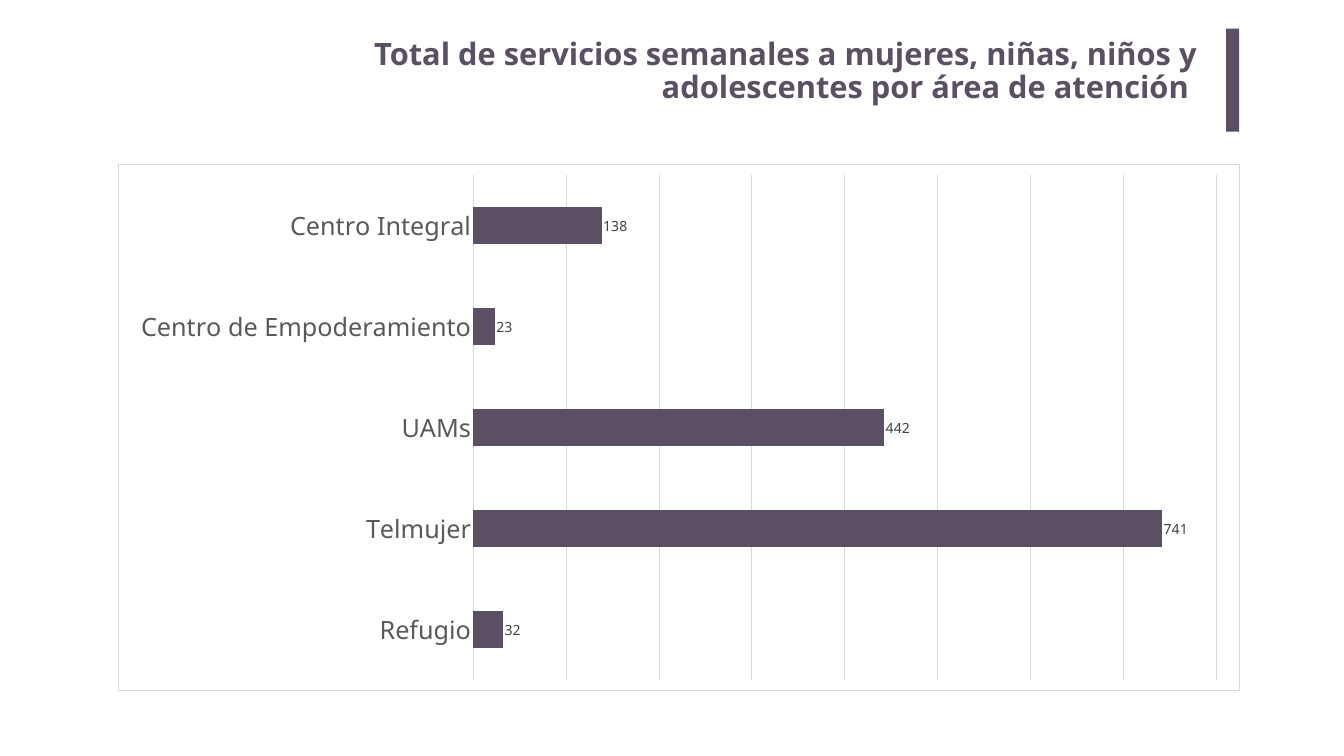
"""Build the slide of weekly services by area of attention."""
from dataclasses import dataclass

from lxml import etree
from pptx import Presentation
from pptx.chart.data import CategoryChartData
from pptx.dml.color import RGBColor
from pptx.enum import chart as ch
from pptx.enum import shapes, text
from pptx.oxml import parse_xml
from pptx.oxml.ns import nsdecls, qn
from pptx.util import Inches, Pt

PLUM = RGBColor(0x5B, 0x4F, 0x63)
WHITE = RGBColor(0xFF, 0xFF, 0xFF)
BLACK = RGBColor(0x00, 0x00, 0x00)
AXIS_GREY = RGBColor(0x59, 0x59, 0x59)
LABEL_GREY = RGBColor(0x40, 0x40, 0x40)
RULE_GREY = RGBColor(0xD9, 0xD9, 0xD9)
FONT = "Noto Sans"
HEADING = ("Total de servicios semanales a mujeres, niñas, niños y "
           "adolescentes por área de atención ")


@dataclass(frozen=True)
class Area:
    name: str
    services: int


AREAS = [
    Area("Centro Integral", 138),
    Area("Centro de Empoderamiento", 23),
    Area("UAMs", 442),
    Area("Telmujer", 741),
    Area("Refugio", 32),
]


def apply(target, values: dict) -> None:
    for name, value in values.items():
        setattr(target, name, value)


def style_font(font, size: float, color: RGBColor, bold: bool = False) -> None:
    apply(font, {"name": FONT, "size": Pt(size), "bold": bold})
    font.color.rgb = color


def style_line(line, color: RGBColor) -> None:
    line.color.rgb = color
    line.width = Pt(0.75)


def add_heading(slide) -> None:
    heading = slide.shapes.add_textbox(Inches(6.56), Inches(0.67), Inches(17.4), Inches(2.04))
    frame = heading.text_frame
    apply(frame, {
        "word_wrap": True,
        "vertical_anchor": text.MSO_ANCHOR.TOP,
        "margin_left": Inches(0.2), "margin_right": Inches(0.2),
        "margin_top": Inches(0.1), "margin_bottom": Inches(0.1),
    })
    paragraph = frame.paragraphs[0]
    apply(paragraph, {"alignment": text.PP_ALIGN.RIGHT, "line_spacing": 0.9})
    run = paragraph.add_run()
    run.text = HEADING
    style_font(run.font, 44, PLUM, bold=True)


def add_accent(slide) -> None:
    accent = slide.shapes.add_shape(shapes.MSO_SHAPE.RECTANGLE, Inches(24.33), Inches(0.57),
                                    Inches(0.26), Inches(2.04))
    accent.shadow.inherit = False
    accent.fill.solid()
    accent.fill.fore_color.rgb = PLUM
    accent.line.fill.background()


def frame_chart(chart) -> None:
    border = parse_xml(
        f'<c:spPr {nsdecls("c", "a")}>'
        f'<a:solidFill><a:srgbClr val="{WHITE}"/></a:solidFill>'
        f'<a:ln w="{Pt(0.75)}"><a:solidFill><a:srgbClr val="{RULE_GREY}"/></a:solidFill></a:ln>'
        '</c:spPr>')
    space = chart.element
    space.find(qn("c:chart")).addnext(border)
    corners = space.find(qn("c:roundedCorners"))
    if corners is None:
        corners = etree.Element(qn("c:roundedCorners"))
        space.find(qn("c:chart")).addprevious(corners)
    corners.set("val", "0")


def add_services_chart(slide) -> None:
    data = CategoryChartData()
    data.categories = [area.name for area in AREAS]
    data.add_series("Series 1", [area.services for area in AREAS])
    chart = slide.shapes.add_chart(ch.XL_CHART_TYPE.BAR_CLUSTERED, Inches(2.35), Inches(3.26),
                                   Inches(22.24), Inches(10.45), data).chart
    apply(chart, {"has_legend": False, "has_title": False})
    style_font(chart.font, 10, BLACK)
    frame_chart(chart)

    areas_axis = chart.category_axis
    apply(areas_axis, {
        "reverse_order": True,
        "major_tick_mark": ch.XL_TICK_MARK.NONE,
        "minor_tick_mark": ch.XL_TICK_MARK.NONE,
    })
    style_font(areas_axis.tick_labels.font, 36, AXIS_GREY)
    style_line(areas_axis.format.line, RULE_GREY)

    services_axis = chart.value_axis
    apply(services_axis, {
        "visible": False, "has_major_gridlines": True,
        "minimum_scale": 0, "maximum_scale": 800, "major_unit": 100,
    })
    style_line(services_axis.major_gridlines.format.line, RULE_GREY)

    plot = chart.plots[0]
    apply(plot, {"gap_width": 182, "vary_by_categories": False})
    services = plot.series[0]
    services.format.fill.solid()
    services.format.fill.fore_color.rgb = PLUM
    style_line(services.format.line, PLUM)
    labels = services.data_labels
    apply(labels, {"show_value": True, "position": ch.XL_LABEL_POSITION.OUTSIDE_END})
    style_font(labels.font, 20, LABEL_GREY)


def main() -> None:
    deck = Presentation()
    apply(deck, {"slide_width": Inches(26.67), "slide_height": Inches(15)})
    slide = deck.slides.add_slide(deck.slide_layouts[6])
    add_heading(slide)
    add_accent(slide)
    add_services_chart(slide)
    deck.save("out.pptx")


main()
